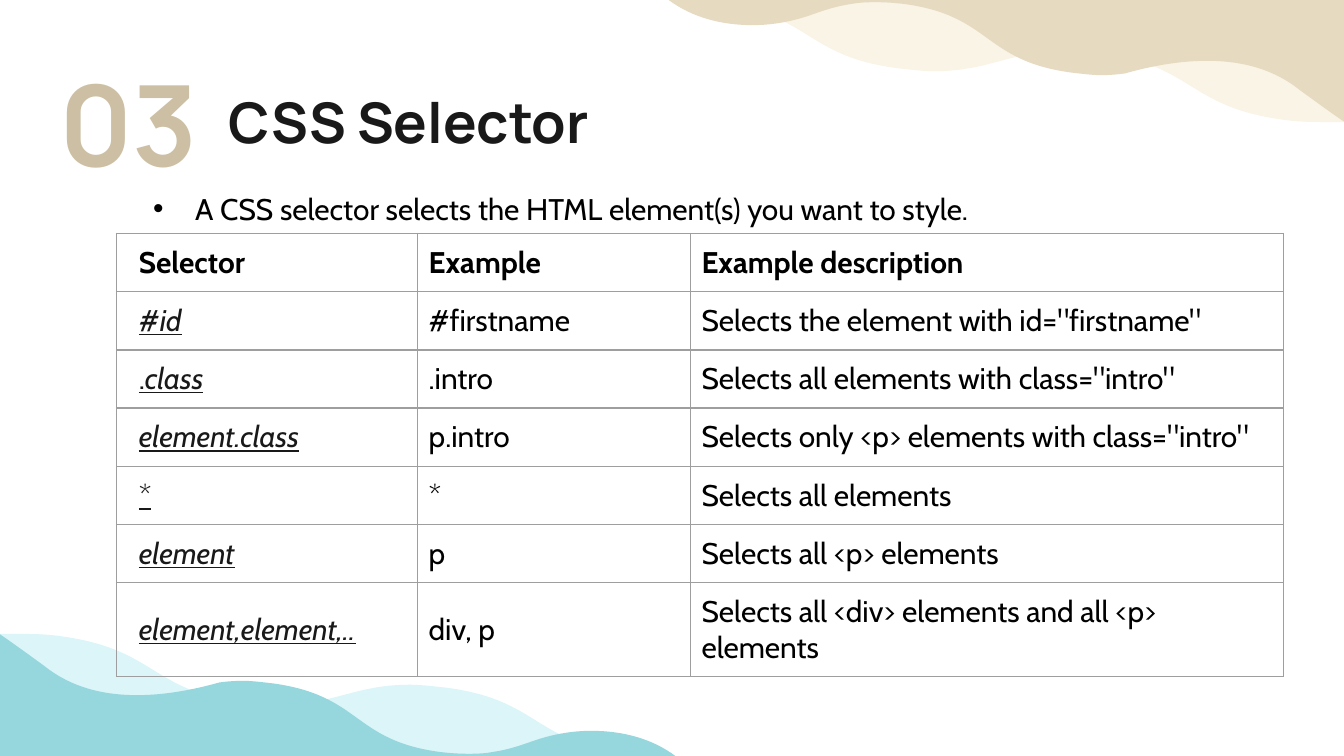
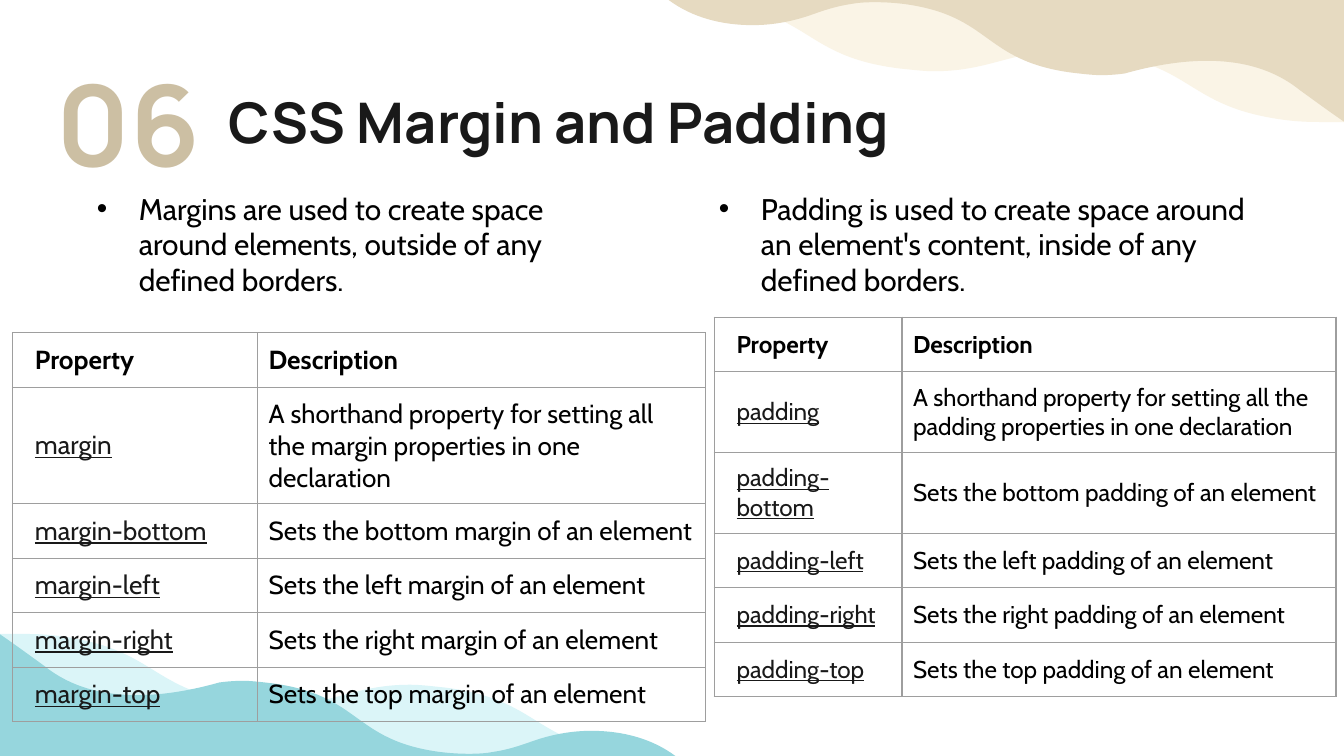
from lxml.etree import SubElement as Sub
from pptx import Presentation
from pptx.dml.color import RGBColor as Rgb
from pptx.enum.text import MSO_ANCHOR as Anchor, MSO_AUTO_SIZE as Fit, PP_ALIGN as Align
from pptx.oxml.ns import qn
from pptx.util import Pt

# Page and theme
WIDE, HIGH = 720, 405
HEAD, BODY = "Manrope", "Cabin"
BLACK, INK, GREY = "000000", "191919", "9E9E9E"
TAN, SAND, CREAM = "CCBFA3", "E6DAC1", "FAF4E6"
TEAL, ICE = "96D6DD", "DBF5F8"

# Wave outlines at the top right: pairs are corners, sixes are Bezier curves
BACK = [
    (403.9, -65), (449.3, -56.9, 447.1, -36.7, 496.1, -30.2),
    (503.3, -28.8, 509.8, -28.8, 514.8, -28.8),
    (544.3, -28.8, 555.8, -39.6, 584.6, -39.6), (590.4, -39.6, 596.9, -39.6, 603.4, -38.9),
    (655.2, -31.7, 650.2, -9.4, 701.3, -2.9), (707, -2.2, 712.1, -2.2, 717.1, -2.2),
    (717.8, -2.2, 719.3, -2.2, 720, -2.2),
    (720, 65.4), (717.1, 65.4, 713.5, 65.4, 709.9, 65.4),
    (703.4, 65.4, 696.2, 65.4, 686.9, 64.1), (635.8, 56.9, 640.1, 35.3, 589, 28.1),
    (582.5, 27.4, 576, 27.4, 570.2, 27.4), (541.4, 27.4, 529.9, 38.2, 500.4, 38.2),
    (494.6, 38.2, 488.9, 37.4, 481.7, 36.7), (430.6, 30.2, 435.6, 7.9, 383.8, 1.4),
    (378.7, 0.7, 373, 0, 368.6, 0), (365.8, 0, 362.9, 0, 360, 0.7), (360, -65),
]
FRONT = [
    (720, 0), (720, 65.2), (712.1, 59.8, 704.2, 54, 696.2, 48.2),
    (681.8, 36.7, 664.6, 32.6, 646.6, 32.6), (632.2, 32.6, 617, 35.3, 602.6, 39.4),
    (599, 39.9, 594.7, 40.3, 589.7, 40.3), (585.4, 40.3, 579.6, 39.6, 573.8, 38.9),
    (526.3, 32.4, 531.4, 8.6, 484.6, 2.2), (478.8, 1.5, 473.8, 1.2, 468.7, 1.2),
    (463.7, 1.2, 459.4, 1.5, 455.8, 2.2), (447.8, 3.4, 441.4, 5.6, 434.9, 7.9),
    (424.8, 11.5, 414, 13.5, 403.2, 13.5), (386.6, 13.5, 370.8, 9.4, 358.2, 0),
]

# Table contents
PICKS = [
    ("Selector", "Example", "Example description"),
    ("#id", "#firstname", 'Selects the element with id="firstname"'),
    (".class", ".intro", 'Selects all elements with class="intro"'),
    ("element.class", "p.intro", 'Selects only <p> elements with class="intro"'),
    ("*", "*", "Selects all elements"),
    ("element", "p", "Selects all <p> elements"),
    ("element,element,..", "div, p", "Selects all <div> elements and all <p> elements"),
]


def sides(name):
    """Rows for a property that has one variant per side."""
    rows = [("Property", "Description"),
            (name, f"A shorthand property for setting all the {name} properties in one declaration")]
    for side in ("bottom", "left", "right", "top"):
        rows.append((f"{name}-{side}", f"Sets the {side} {name} of an element"))
    return rows


def color(code):
    return Rgb.from_string(code)


def write(para, text, size=16, font=BODY, ink=BLACK, bold=False, slant=False, under=False):
    run = para.add_run()
    run.text = text
    face = run.font
    face.size, face.name = Pt(size), font
    face.bold, face.italic, face.underline = bold, slant, under
    face.color.rgb = color(ink)


def wave(slide, outline, fill, turned=False):
    ends = [(Pt(seg[-2]), Pt(seg[-1])) for seg in outline]
    pen = slide.shapes.build_freeform(*ends[0])
    pen.add_line_segments(ends[1:], close=True)
    shape = pen.convert_to_shape()
    # Bend the straight segments into curves
    lines = list(shape._element.iter(qn("a:lnTo")))
    for line, seg in zip(lines, outline[1:]):
        if len(seg) == 6:
            line.tag = qn("a:cubicBezTo")
            line.remove(line[0])
            for x, y in zip(seg[::2], seg[1::2]):
                Sub(line, qn("a:pt"), x=str(Pt(x) - shape.left), y=str(Pt(y) - shape.top))
    shape.shadow.inherit = False
    shape.fill.solid()
    shape.fill.fore_color.rgb = color(fill)
    shape.line.fill.background()
    if turned:  # half turn about the middle of the page
        shape.left = Pt(WIDE) - shape.left - shape.width
        shape.top = Pt(HIGH) - shape.top - shape.height
        shape.rotation = 180


def box(slide, x, y, w, h):
    frame = slide.shapes.add_textbox(Pt(x), Pt(y), Pt(w), Pt(h)).text_frame
    frame.word_wrap = True
    return frame


def label(slide, x, y, w, h, text, align=Align.LEFT, **style):
    frame = box(slide, x, y, w, h)
    frame.vertical_anchor = Anchor.MIDDLE
    frame.margin_top = frame.margin_bottom = Pt(7.2)
    para = frame.paragraphs[0]
    para.alignment = align
    write(para, text, font=HEAD, bold=True, **style)


def bullet(slide, x, w, h, text):
    frame = box(slide, x, 98.4, w, h)
    frame.auto_size = Fit.SHAPE_TO_FIT_TEXT
    para = frame.paragraphs[0]
    write(para, text)
    props = para._p.get_or_add_pPr()
    props.set("marL", str(Pt(22.5)))
    props.set("indent", str(Pt(-22.5)))
    Sub(Sub(props, qn("a:buClr")), qn("a:srgbClr"), val=BLACK)
    Sub(props, qn("a:buFont"), typeface="Arial")
    Sub(props, qn("a:buChar"), char="•")


def border(cell):
    props = cell._tc.get_or_add_tcPr()
    for spot, side in enumerate("LRTB"):
        line = Sub(props, qn(f"a:ln{side}"), w=str(Pt(0.75)))
        Sub(Sub(line, qn("a:solidFill")), qn("a:srgbClr"), val=GREY)
        props.insert(spot, line)  # lines go before the fill


def grid(slide, x, y, cols, rows, size, slant=False):
    high = 29.2
    table = slide.shapes.add_table(len(rows), len(cols), Pt(x), Pt(y),
                                   Pt(sum(cols)), Pt(high * len(rows))).table
    table.first_row = table.horz_banding = False
    for col, w in zip(table.columns, cols):
        col.width = Pt(w)
    for r, row in enumerate(rows):
        table.rows[r].height = Pt(high)
        for c, text in enumerate(row):
            cell = table.cell(r, c)
            cell.fill.background()
            border(cell)
            cell.vertical_anchor = Anchor.MIDDLE
            cell.margin_left = Pt(6 if c else 12)
            cell.margin_right = cell.margin_top = cell.margin_bottom = Pt(6)
            para = cell.text_frame.paragraphs[0]
            if r == 0 or c > 0:
                write(para, text, size=size, bold=r == 0)
                continue
            # Key column: underlined, with a leading sign kept upright
            name = text.lstrip("#.*")
            sign = text[:len(text) - len(name)]
            for part, lean in ((sign, False), (name, slant)):
                if part:
                    write(para, part, size=size, ink=INK, slant=lean, under=True)


def page(deck, number, title, w):
    slide = deck.slides.add_slide(deck.slide_layouts[6])
    wave(slide, BACK, ICE, turned=True)
    wave(slide, FRONT, TEAL, turned=True)
    wave(slide, BACK, CREAM)
    wave(slide, FRONT, SAND)
    label(slide, 115.3, 50, w, 30, title, size=30, ink=INK)
    label(slide, 22.3, 41, 93, 48, number, align=Align.CENTER, size=60, ink=TAN)
    return slide


def main():
    deck = Presentation()
    deck.slide_width, deck.slide_height = Pt(WIDE), Pt(HIGH)

    # Selectors
    slide = page(deck, "03", "CSS Selector", 250.5)
    bullet(slide, 75, 523.5, 26.6, "A CSS selector selects the HTML element(s) you want to style.")
    grid(slide, 62.4, 125.1, (161.3, 146.2, 317.9), PICKS, 16, slant=True)

    # Margin and padding
    slide = page(deck, "06", "CSS Margin and Padding", 379.5)
    bullet(slide, 44.8, 282, 65.5,
           "Margins are used to create space around elements, outside of any defined borders.")
    bullet(slide, 378, 301.5, 65.5,
           "Padding is used to create space around an element's content, inside of any defined borders.")
    grid(slide, 6.7, 178.2, (131.2, 240), sides("margin"), 14)
    grid(slide, 382.6, 170, (100.6, 232.6), sides("padding"), 13)

    deck.save("out.pptx")


main()
